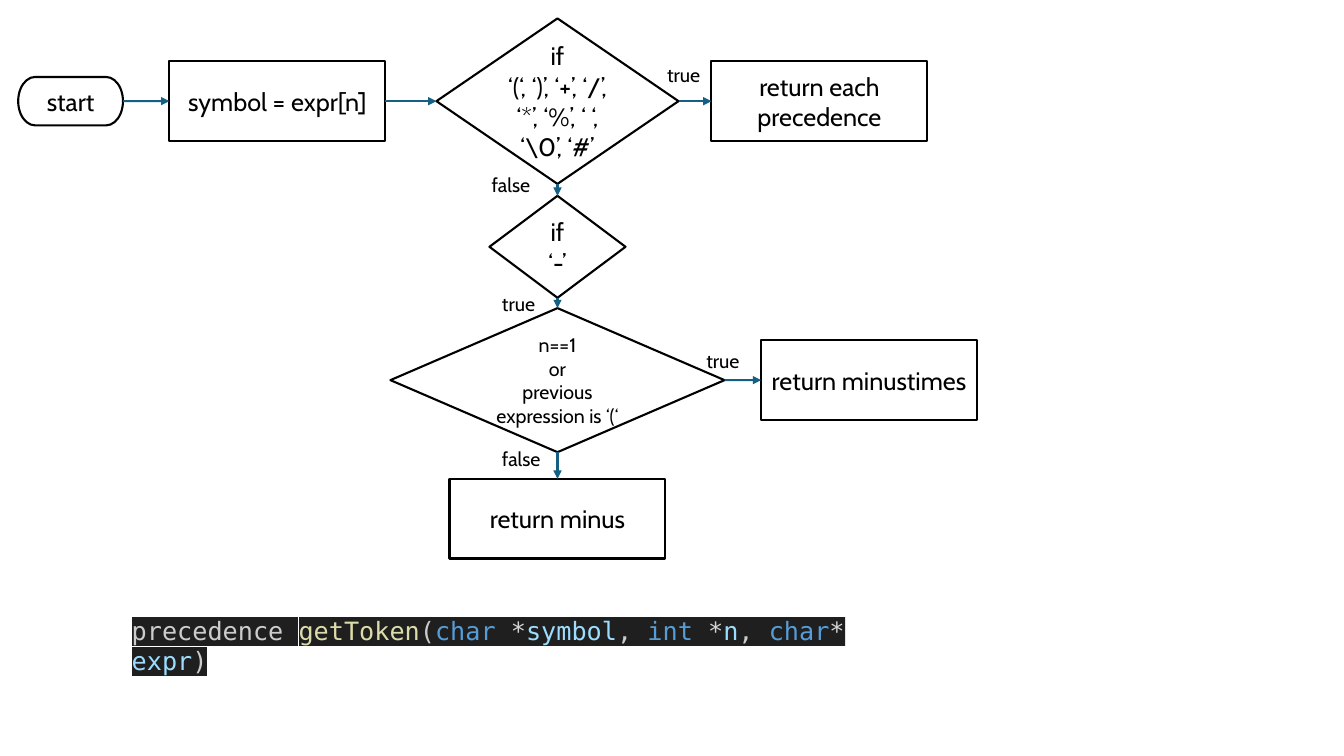
from lxml.etree import SubElement
from pptx import Presentation
from pptx.dml.color import RGBColor
from pptx.enum.shapes import MSO_CONNECTOR, MSO_SHAPE as Preset
from pptx.enum.text import MSO_ANCHOR, MSO_AUTO_SIZE, PP_ALIGN
from pptx.oxml.ns import qn
from pptx.util import Cm, Pt

COLORS = {
    "white": "FFFFFF", "black": "000000", "arrow": "156082",
    "highlight": "1F1F1F", "plain": "CCCCCC", "function": "DCDCAA",
    "keyword": "569CD6", "operator": "D4D4D4", "variable": "9CDCFE",
}
BODY_FONT, CODE_FONT = "Cabin", "DejaVu Sans Mono"
TOP, BOTTOM, LEFT, RIGHT = 0, 2, 1, 3

MAIN_X = 14.05
SYMBOL_Y, HYPHEN_Y, UNARY_Y, MINUS_Y = 2.55, 6.22, 9.58, 13.07
PROCESS_SIZE = (5.44, 2.01)

LABELS = [
    ("true", 16.56, 1.45, 1.37),
    ("false", 12.14, 4.24, 1.55),
    ("true", 12.4, 7.24, 1.37),
    ("true", 17.55, 8.66, 1.37),
    ("false", 12.4, 11.13, 1.55),
]
SIGNATURE = [
    ("precedence ", "plain"), ("getToken", "function"), ("(", "plain"),
    ("char", "keyword"), (" ", "plain"), ("*", "operator"),
    ("symbol", "variable"), (", ", "plain"), ("int", "keyword"),
    (" ", "plain"), ("*", "operator"), ("n", "variable"), (", ", "plain"),
    ("char", "keyword"), ("*", "operator"), (" ", "plain"),
    ("expr", "variable"), (")", "plain"),
]


def color(name):
    return RGBColor.from_string(COLORS[name])


def style(para, size):
    para.font.name = BODY_FONT
    para.font.size = Pt(size)
    para.font.color.rgb = color("black")


def add_step(page, preset, center, size, lines, text_size=18):
    """Draw an outlined flowchart step around its center, one paragraph per line."""
    (x, y), (width, height) = center, size
    step = page.shapes.add_shape(preset, Cm(x - width / 2), Cm(y - height / 2),
                                 Cm(width), Cm(height))
    step.shadow.inherit = False
    step.fill.solid()
    step.fill.fore_color.rgb = color("white")
    step.line.color.rgb = color("black")
    step.line.width = Pt(1.5)
    frame = step.text_frame
    frame.word_wrap = True
    frame.vertical_anchor = MSO_ANCHOR.MIDDLE
    frame.text = "\n".join(lines)
    for para in frame.paragraphs:
        para.alignment = PP_ALIGN.CENTER
        style(para, text_size)
    return step


def add_process(page, x, y, text):
    return add_step(page, Preset.FLOWCHART_PROCESS, (x, y), PROCESS_SIZE, [text])


def add_decision(page, y, size, lines, text_size=18):
    return add_step(page, Preset.FLOWCHART_DECISION, (MAIN_X, y), size, lines, text_size)


def add_arrow(page, source, source_side, target, target_side):
    arrow = page.shapes.add_connector(MSO_CONNECTOR.STRAIGHT, 0, 0, 0, 0)
    arrow.begin_connect(source, source_side)
    arrow.end_connect(target, target_side)
    arrow.line.color.rgb = color("arrow")
    arrow.line.width = Pt(1.5)
    SubElement(arrow.line._get_or_add_ln(), qn("a:tailEnd"), type="triangle")
    SubElement(arrow._element.spPr, qn("a:effectLst"))


def add_label(page, text, x, y, width):
    box = page.shapes.add_textbox(Cm(x), Cm(y), Cm(width), Cm(0.86))
    frame = box.text_frame
    frame.word_wrap = False
    frame.auto_size = MSO_AUTO_SIZE.SHAPE_TO_FIT_TEXT
    frame.text = text
    style(frame.paragraphs[0], 14)


def add_signature(page):
    box = page.shapes.add_textbox(Cm(3.07), Cm(15.37), Cm(19.15), Cm(1.02))
    box.text_frame.word_wrap = True
    para = box.text_frame.paragraphs[0]
    para.font.name = CODE_FONT
    para.font.size = Pt(18)
    for text, role in SIGNATURE:
        span = para.add_run()
        span.text = text
        span.font.color.rgb = color(role)
        highlight = SubElement(span.font._element, qn("a:highlight"))
        SubElement(highlight, qn("a:srgbClr"), val=COLORS["highlight"])


def main():
    deck = Presentation()
    deck.slide_width, deck.slide_height = Cm(33.87), Cm(19.05)
    page = deck.slides.add_slide(deck.slide_layouts[6])

    start = add_step(page, Preset.FLOWCHART_TERMINATOR, (1.78, SYMBOL_Y),
                     (2.64, 1.22), ["start"])
    read_symbol = add_process(page, 6.99, SYMBOL_Y, "symbol = expr[n]")
    is_symbol = add_decision(page, SYMBOL_Y, (6.1, 4.17), [
        "if", "‘(‘, ‘)’, ‘+’, ‘/’, ‘*’, ‘%’, ‘ ‘, ‘\\0’, ‘#’"])
    return_each = add_process(page, 20.65, SYMBOL_Y, "return each precedence")
    is_hyphen = add_decision(page, HYPHEN_Y, (3.43, 2.57), ["if", "‘-’"])
    is_unary = add_decision(page, UNARY_Y, (8.42, 3.63), [
        "n==1", "or", "previous expression is ‘(‘"], 14)
    return_minustimes = add_process(page, 21.9, UNARY_Y, "return minustimes")
    return_minus = add_process(page, MAIN_X, MINUS_Y, "return minus")

    for source, target in [(start, read_symbol), (read_symbol, is_symbol),
                           (is_symbol, return_each), (is_unary, return_minustimes)]:
        add_arrow(page, source, RIGHT, target, LEFT)
    for source, target in [(is_symbol, is_hyphen), (is_hyphen, is_unary),
                           (is_unary, return_minus)]:
        add_arrow(page, source, BOTTOM, target, TOP)

    for label in LABELS:
        add_label(page, *label)
    add_signature(page)
    deck.save("out.pptx")


if __name__ == "__main__":
    main()
